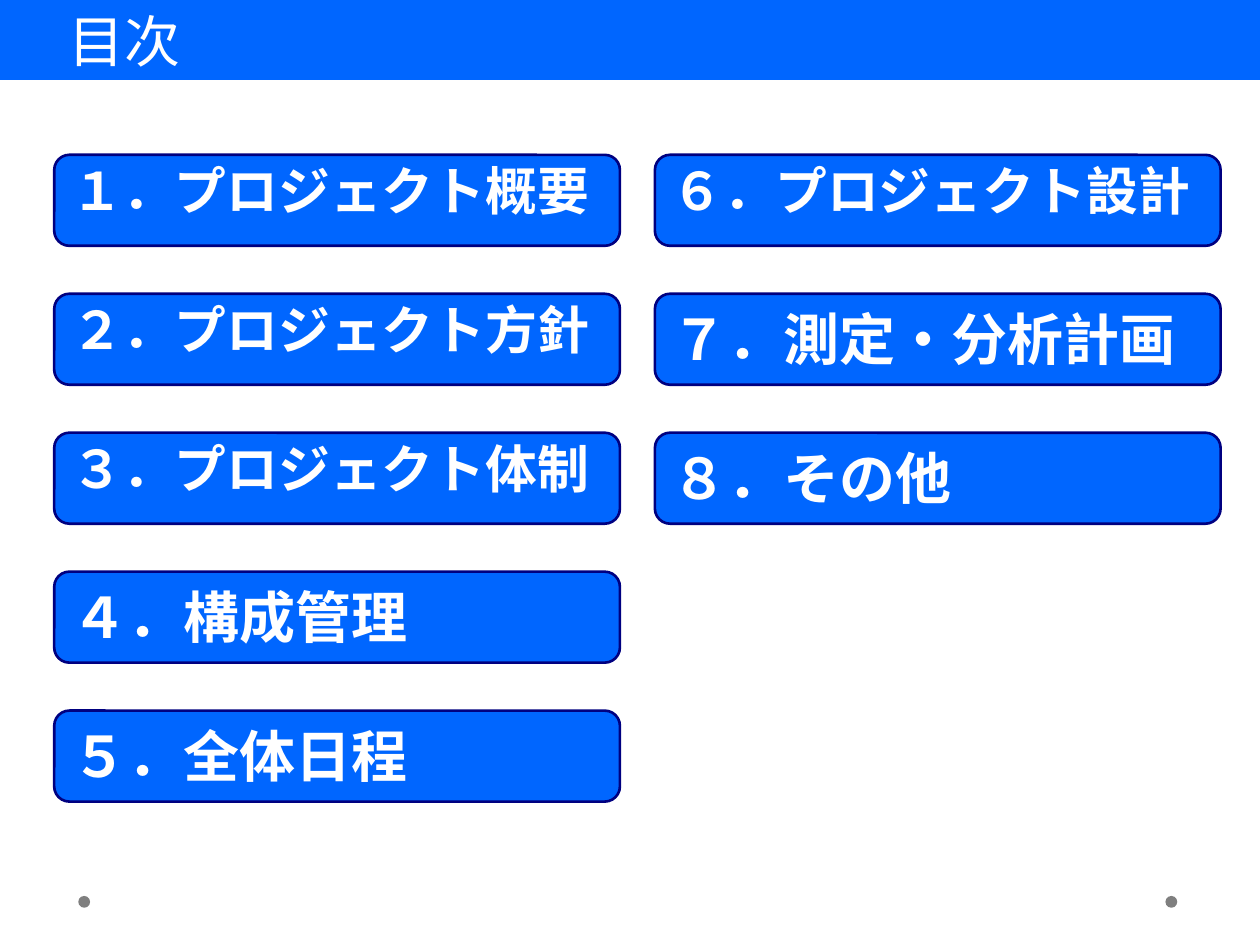
from pptx import Presentation
from pptx.dml.color import RGBColor
from pptx.enum.shapes import MSO_SHAPE as Shape
from pptx.enum.text import MSO_ANCHOR as Anchor, PP_ALIGN as Align
from pptx.util import Pt

BLUE = RGBColor(0x00, 0x66, 0xFF)
NAVY = RGBColor(0x00, 0x00, 0x80)
GRAY = RGBColor(0x7F, 0x7F, 0x7F)
WHITE = RGBColor(0xFF, 0xFF, 0xFF)

COLUMNS = [
    ["１．プロジェクト概要", "２．プロジェクト方針", "３．プロジェクト体制",
     "４．構成管理", "５．全体日程"],
    ["６．プロジェクト設計", "７．測定・分析計画", "８．その他"],
]
FULL = {"size": Pt(32), "spacing": 1.0}
TIGHT = {"size": Pt(29.6), "spacing": 0.9}


class ContentsPage:
    def __init__(self, page):
        self.page = page

    def shape(self, kind, left, top, width, height, fill, line=None):
        shape = self.page.shapes.add_shape(
            kind, Pt(left), Pt(top), Pt(width), Pt(height))
        shape.shadow.inherit = False
        shape.fill.solid()
        shape.fill.fore_color.rgb = fill
        if line is None:
            shape.line.fill.background()
        else:
            shape.line.color.rgb = line
            shape.line.width = Pt(1.5)
        return shape

    def label(self, shape, text, anchor, spacing=1.0, **font):
        frame = shape.text_frame
        frame.word_wrap = True
        frame.vertical_anchor = anchor
        para = frame.paragraphs[0]
        para.alignment = Align.LEFT
        para.line_spacing = spacing
        span = para.add_run()
        span.text = text
        span.font.color.rgb = WHITE
        for name, value in font.items():
            setattr(span.font, name, value)

    def dot(self, left):
        self.shape(Shape.OVAL, left, 512, 6.75, 6.75, GRAY)

    def title(self, text):
        bar = self.shape(Shape.RECTANGLE, 0, 0, 720, 45.75, BLUE)
        self.label(bar, text, Anchor.MIDDLE, size=Pt(32), name="Times New Roman")

    def entry(self, text, column, row):
        box = self.shape(Shape.FLOWCHART_ALTERNATE_PROCESS,
                         31 + column * 343.25, 88.5 + row * 79.4,
                         323.25, 52, BLUE, NAVY)
        style = TIGHT if "プロジェクト" in text else FULL
        self.label(box, text, Anchor.TOP, name="Roboto", bold=True, **style)


def main():
    deck = Presentation()
    deck.slide_width, deck.slide_height = Pt(720), Pt(540)
    contents = ContentsPage(deck.slides.add_slide(deck.slide_layouts[6]))
    for left in (666, 44.75):
        contents.dot(left)
    contents.title("　目次")
    for column, entries in enumerate(COLUMNS):
        for row, text in enumerate(entries):
            contents.entry(text, column, row)
    deck.save("out.pptx")


if __name__ == "__main__":
    main()
